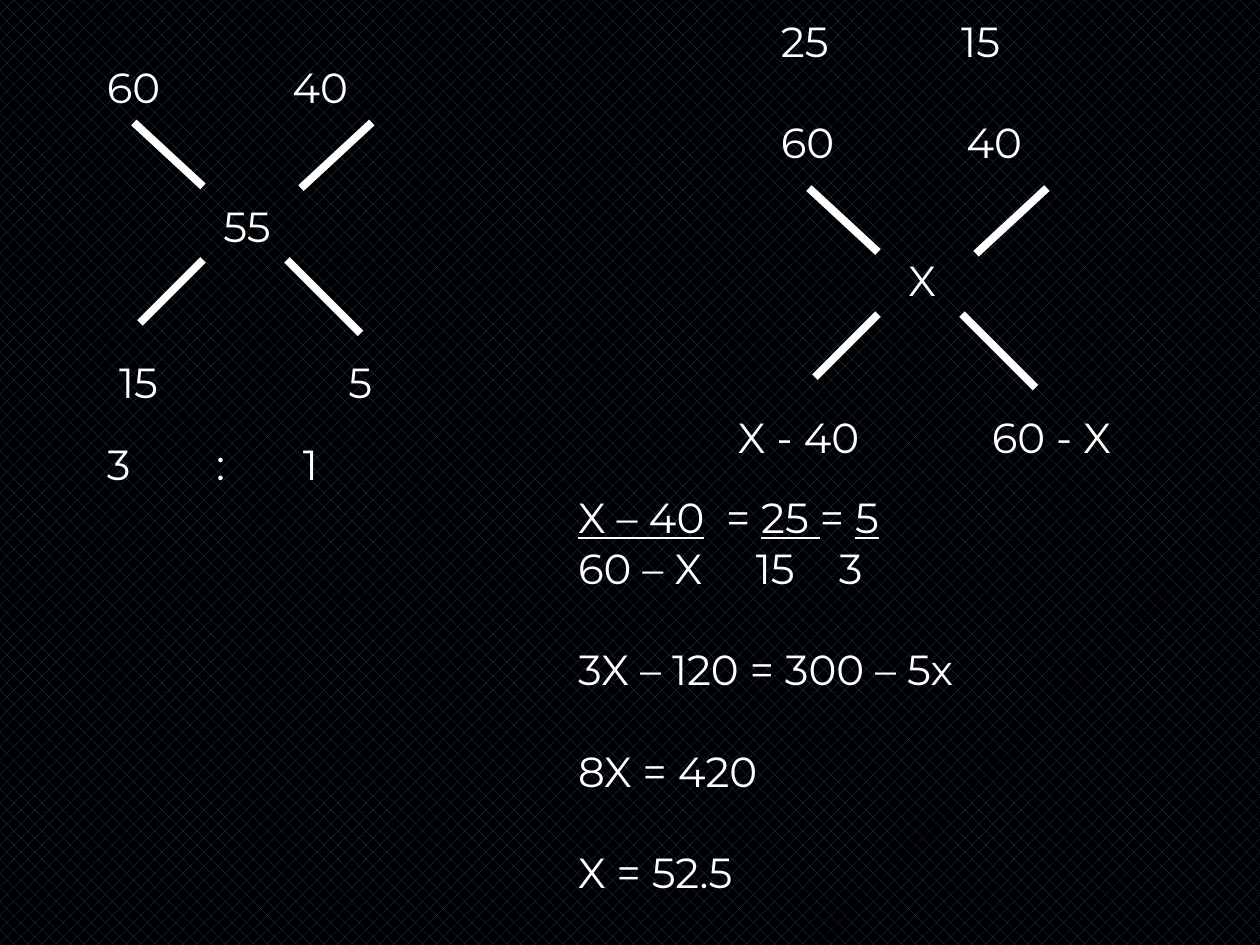
from pptx import Presentation
from pptx.dml.color import RGBColor
from pptx.enum.dml import MSO_PATTERN
from pptx.enum.shapes import MSO_CONNECTOR
from pptx.enum.text import MSO_ANCHOR, PP_ALIGN
from pptx.oxml.ns import qn
from pptx.util import Pt
from lxml.etree import SubElement

FONT, SIZE, WHITE = "Montserrat", 24, "FFFFFF"
LINE = 29.25
LABEL_W, LABEL_H = 50.4, 34.5

UPPER_ARMS = [(76.5, 70, 116, 106.5), (172, 107.5, 212.5, 70)]
LOWER_ARMS = [(80, 184.5, 116, 148.5), (164, 148.5, 206, 190.5)]
CENTER = (116, 111.6)
RESULT_TOP = 201
CROSSES = [
    {"dx": 0, "upper_dy": 0, "lower_dy": 0, "center": "55",
     "results": [("15", 54, LABEL_W), ("5", 180.7, LABEL_W)]},
    {"dx": 385.75, "upper_dy": 37.5, "lower_dy": 31, "center": "X",
     "results": [("X - 40", 411, 90.7), ("60 - X", 552.2, 97.2)]},
]

RATIO = [([62.5, 112], 0, [("3\t:\t1", False)])]
LEFT_PAIR = [([106], 0, [("60\t40", False)])]
RIGHT_PAIRS = [([103], 0, [("25\t15", False)]),
               ([106], LINE, [("60\t40", False)])]
EQUATIONS = [
    ([84.5, 184.5], 0, [("X – 40\t", True), ("= ", False), ("25 ", True),
                        ("= ", False), ("5\t", True)]),
    ([101.5, 149], 0, [("60 – X\t15\t3", False)]),
    ([], LINE, [("3X – 120 = 300 – 5x", False)]),
    ([], LINE, [("8X = 420", False)]),
    ([], LINE, [("X = 52.5", False)]),
]


def color(hex_code):
    return RGBColor.from_string(hex_code)


def add_text(s, box, paragraphs, align=PP_ALIGN.LEFT):
    tf = s.shapes.add_textbox(*map(Pt, box)).text_frame
    tf.word_wrap = True
    tf.vertical_anchor = MSO_ANCHOR.MIDDLE
    for i, (tabs, before, runs) in enumerate(paragraphs):
        p = tf.add_paragraph() if i else tf.paragraphs[0]
        p.alignment = align
        p.space_before = Pt(before)
        if tabs:
            tab_list = SubElement(p._p.get_or_add_pPr(), qn("a:tabLst"))
            for pos in tabs:
                SubElement(tab_list, qn("a:tab"), pos=str(int(Pt(pos))), algn="l")
        for text, underline in runs:
            r = p.add_run()
            r.text = text
            r.font.name = FONT
            r.font.size = Pt(SIZE)
            r.font.underline = underline
            r.font.color.rgb = color(WHITE)
    return tf


def add_label(s, text, x, y, w=LABEL_W):
    add_text(s, (x, y, w, LABEL_H), [([], 0, [(text, False)])], PP_ALIGN.CENTER)


def add_arm(s, arm, dx, dy):
    x1, y1, x2, y2 = arm
    c = s.shapes.add_connector(MSO_CONNECTOR.STRAIGHT, Pt(x1 + dx), Pt(y1 + dy),
                               Pt(x2 + dx), Pt(y2 + dy))
    c.line.color.rgb = color(WHITE)
    c.line.width = Pt(4.5)
    SubElement(c._element.spPr, qn("a:effectLst"))


def add_cross(s, cross):
    dx, low = cross["dx"], cross["lower_dy"]
    for arm in UPPER_ARMS:
        add_arm(s, arm, dx, cross["upper_dy"])
    for arm in LOWER_ARMS:
        add_arm(s, arm, dx, low)
    add_label(s, cross["center"], CENTER[0] + dx, CENTER[1] + low)
    for text, x, w in cross["results"]:
        add_label(s, text, x, RESULT_TOP + low, w)


def main():
    prs = Presentation()
    prs.slide_width, prs.slide_height = Pt(720), Pt(540)
    s = prs.slides.add_slide(prs.slide_layouts[6])
    fill = s.background.fill
    fill.patterned()
    fill.pattern = MSO_PATTERN.PERCENT_25
    fill.fore_color.rgb = color("1F497D")
    fill.back_color.rgb = color("000000")

    add_text(s, (54, 247.7, 177.8, LABEL_H), RATIO)
    add_text(s, (54, 32.4, 177.8, LABEL_H), LEFT_PAIR)
    add_text(s, (439.2, 0, 177.8, 104.4), RIGHT_PAIRS)
    for cross in CROSSES:
        add_cross(s, cross)
    tf = add_text(s, (323.3, 281, 351.4, 247.7), EQUATIONS)
    tf.vertical_anchor = MSO_ANCHOR.TOP
    tf.margin_top = Pt(0)
    prs.save("out.pptx")


if __name__ == "__main__":
    main()
